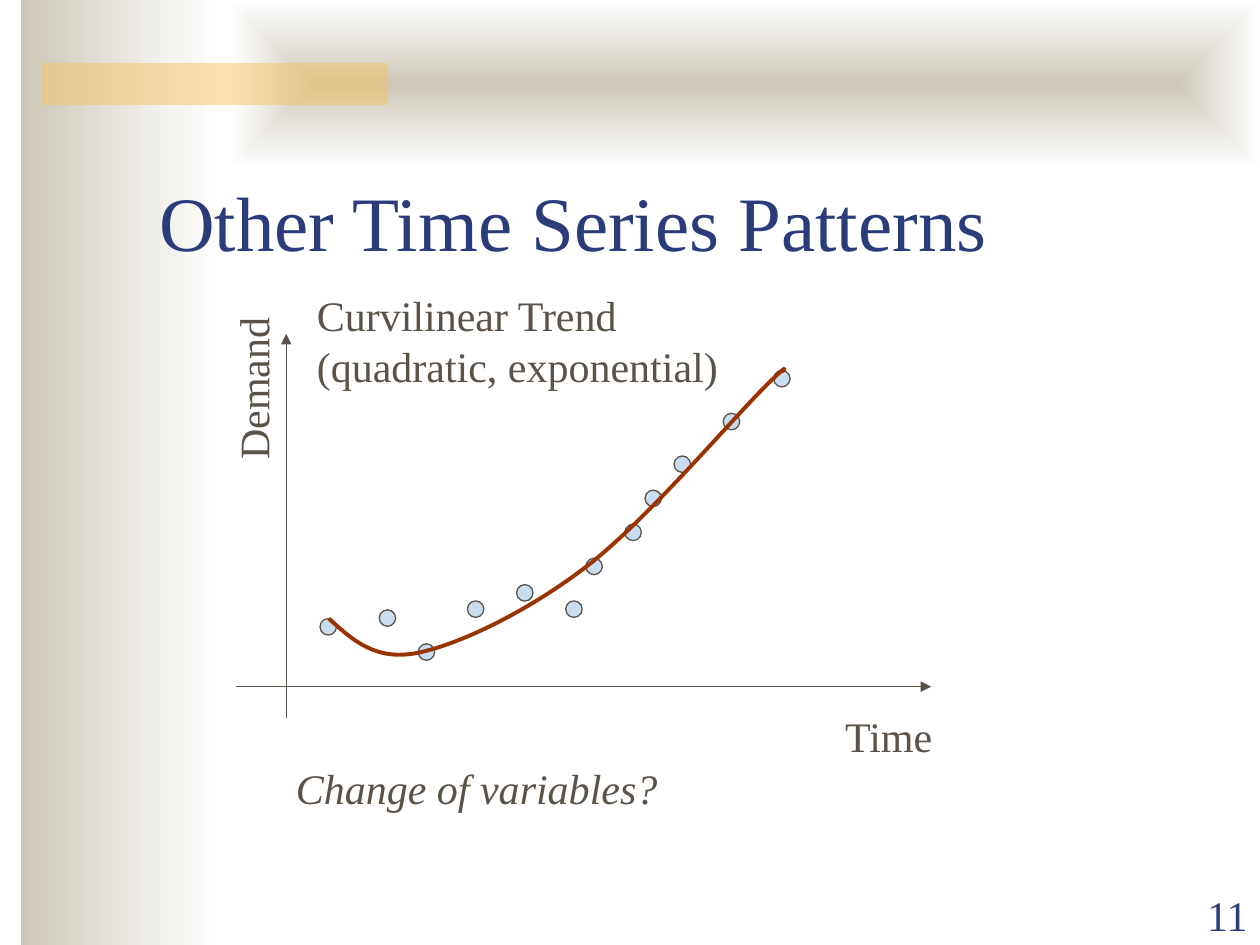
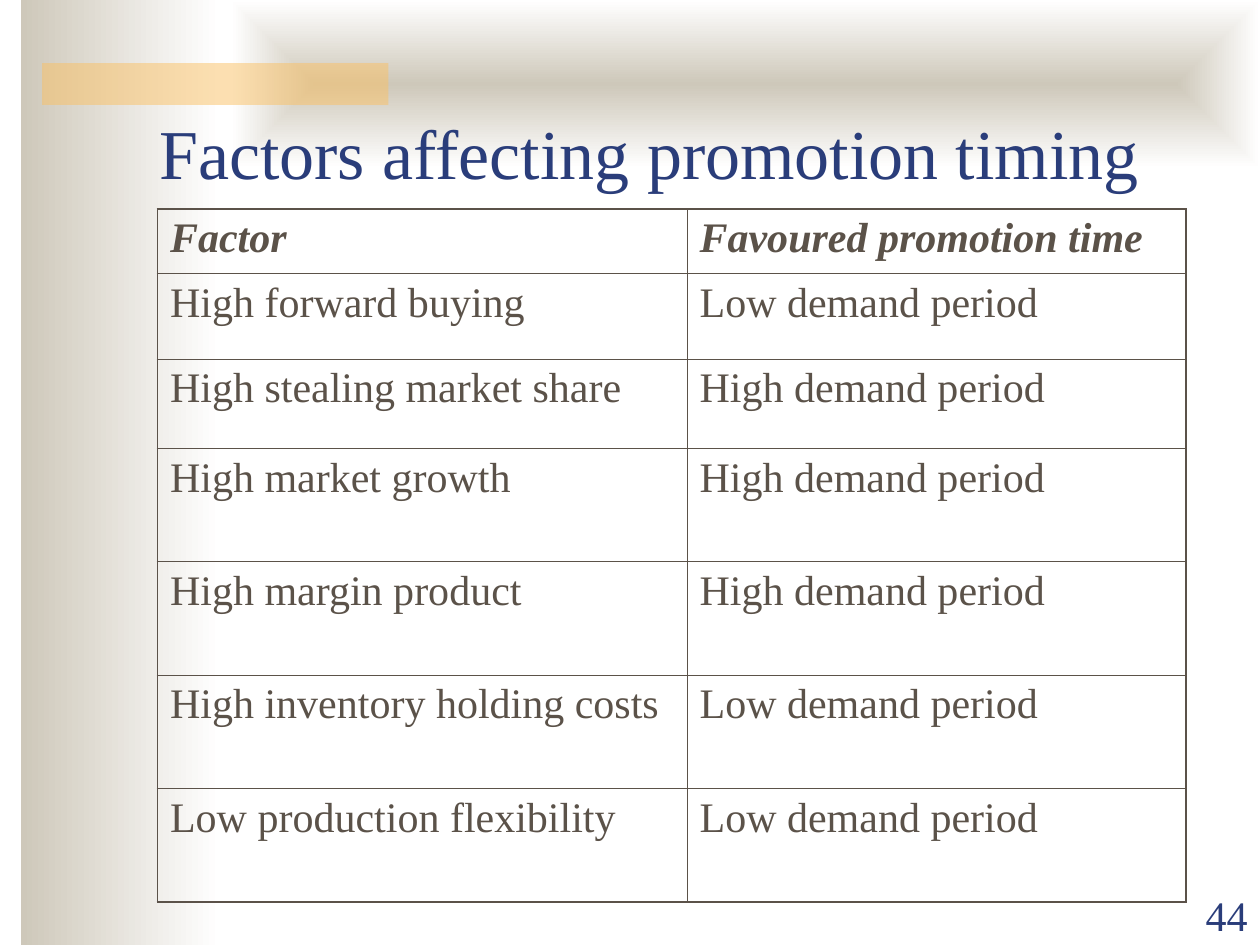
from lxml import etree
from pptx import Presentation
from pptx.dml.color import RGBColor
from pptx.enum.shapes import MSO_CONNECTOR, MSO_SHAPE
from pptx.enum.text import MSO_ANCHOR, PP_ALIGN
from pptx.oxml.ns import qn
from pptx.util import Pt

RECTANGLE, OVAL = MSO_SHAPE.RECTANGLE, MSO_SHAPE.OVAL
STRAIGHT = MSO_CONNECTOR.STRAIGHT
TOP, BOTTOM = MSO_ANCHOR.TOP, MSO_ANCHOR.BOTTOM
LEFT, RIGHT = PP_ALIGN.LEFT, PP_ALIGN.RIGHT

NAVY, BROWN, SAND, WHITE = "2A3D7A", "5B5249", "CEC8BA", "FFFFFF"
AMBER, PALE_BLUE, RUST = "FAC164", "C9DDF1", "993300"

BODY = {"name": "Times New Roman", "size": Pt(24), "color": BROWN}
ITALIC = {**BODY, "italic": True}
HEADER = {**ITALIC, "bold": True}
PAGE_NUMBER = {**BODY, "color": NAVY}
TITLE = {**PAGE_NUMBER, "size": Pt(44)}
LONG_TITLE = {**TITLE, "size": Pt(40)}


def color(hex_string):
    return RGBColor.from_string(hex_string)


def write_text(frame, text, format_values, alignment=LEFT):
    frame.text = text
    for paragraph in frame.paragraphs:
        paragraph.alignment = alignment
        for attribute, value in format_values.items():
            if attribute == "color":
                paragraph.font.color.rgb = color(value)
            else:
                setattr(paragraph.font, attribute, value)


presentation = Presentation()
presentation.slide_width, presentation.slide_height = Pt(720), Pt(540)
blank_layout = presentation.slide_layouts[6]
patterns_slide = presentation.slides.add_slide(blank_layout)
factors_slide = presentation.slides.add_slide(blank_layout)

# Shared decoration: side band, top banner and accent bar
for slide in presentation.slides:
    side_band, top_banner, accent_bar = [
        slide.shapes.add_shape(RECTANGLE, *map(Pt, box))
        for box in [(12, 0, 114, 540), (132, 0, 588, 96), (24, 36, 198, 24)]
    ]
    for shape in (side_band, top_banner, accent_bar):
        shape.shadow.inherit = False
        shape.line.fill.background()

    for shape in (side_band, top_banner):
        shape.fill.gradient()
        shape.fill.gradient_angle = 0
        for stop, stop_color in zip(shape.fill.gradient_stops, (SAND, WHITE)):
            stop.color.rgb = color(stop_color)

    # The banner fades from its centre to all four edges
    linear = top_banner.fill._xPr.find(".//" + qn("a:lin"))
    gradient_path = etree.Element(qn("a:path"), {"path": "rect"})
    etree.SubElement(gradient_path, qn("a:fillToRect"),
                     {side: "50000" for side in "ltrb"})
    linear.getparent().replace(linear, gradient_path)

    accent_bar.fill.solid()
    accent_bar.fill.fore_color.rgb = color(AMBER)
    bar_color = accent_bar.fill._xPr.find(".//" + qn("a:srgbClr"))
    etree.SubElement(bar_color, qn("a:alpha"), {"val": "50000"})

# Titles, page numbers and graph labels
page_number_box = (648, 504.7, 72, 36)
texts = [
    (patterns_slide, "Other Time Series Patterns", (84, 66, 612, 90), TITLE, BOTTOM, LEFT, True, 0),
    (factors_slide, "Factors affecting promotion timing", (84, 66, 606, 48), LONG_TITLE, BOTTOM, LEFT, True, 0),
    (patterns_slide, "11", page_number_box, PAGE_NUMBER, BOTTOM, RIGHT, True, 0),
    (factors_slide, "44", page_number_box, PAGE_NUMBER, BOTTOM, RIGHT, True, 0),
    (patterns_slide, "Time", (475.9, 402.5, 64.8, 36), BODY, TOP, LEFT, False, 0),
    (patterns_slide, "Demand", (96.5, 203.8, 95.8, 36), BODY, TOP, LEFT, False, 270),
    (patterns_slide, "Curvilinear Trend\n(quadratic, exponential)", (174, 162, 298, 64.8), BODY, TOP, LEFT, True, 0),
    (patterns_slide, "Change of variables?", (162, 432, 258, 36), ITALIC, TOP, LEFT, True, 0),
]
for slide, text, box, format_values, anchor, alignment, wrap, rotation in texts:
    shape = slide.shapes.add_textbox(*map(Pt, box))
    shape.rotation = rotation
    shape.text_frame.word_wrap = wrap
    shape.text_frame.vertical_anchor = anchor
    write_text(shape.text_frame, text, format_values, alignment)

# Axes of the demand graph, each drawn towards its arrowhead
for axis in [(163.6, 410.4, 163.6, 190.8), (134.6, 392.4, 532.1, 392.4)]:
    connector = patterns_slide.shapes.add_connector(STRAIGHT, *map(Pt, axis))
    connector.line.color.rgb = color(BROWN)
    connector.line.width = Pt(0.75)
    etree.SubElement(connector.line._get_or_add_ln(), qn("a:tailEnd"), {"type": "triangle"})
    etree.SubElement(connector._element.spPr, qn("a:effectLst"))

# Demand observations
observations = [
    (182.9, 353.5), (216.7, 348.5), (239, 367.9), (267.1, 343.4),
    (295.2, 334.1), (323.3, 343.4), (334.8, 319), (357.1, 299.5),
    (368.6, 280.1), (385.2, 260.6), (413.3, 236.2), (442.1, 211.7),
]
for left, top in observations:
    dot = patterns_slide.shapes.add_shape(OVAL, Pt(left), Pt(top), Pt(9.4), Pt(9.4))
    dot.shadow.inherit = False
    dot.fill.solid()
    dot.fill.fore_color.rgb = color(PALE_BLUE)
    dot.line.color.rgb = color(BROWN)
    dot.line.width = Pt(0.75)

# Trend curve: Bezier segments, each two control points and an end point
curve_start = (187.9, 353.5)
curve_segments = [
    [(201.6, 365.8), (214.6, 378), (239, 373)],
    [(263.5, 367.9), (301.7, 349.2), (334.8, 324)],
    [(367.9, 298.8), (417.6, 240.5), (436.3, 221.8)],
    [(455, 203), (445.7, 214.6), (447.1, 211.7)],
]
steps = 24
curve_points = []
segment_start = curve_start
for segment in curve_segments:
    for step in range(1, steps + 1):
        t = step / steps
        weights = ((1 - t) ** 3, 3 * t * (1 - t) ** 2, 3 * t ** 2 * (1 - t), t ** 3)
        curve_points.append(tuple(
            Pt(sum(weight * value for weight, value in zip(weights, values)))
            for values in zip(segment_start, *segment)
        ))
    segment_start = segment[-1]

builder = patterns_slide.shapes.build_freeform(*map(Pt, curve_start))
builder.add_line_segments(curve_points, close=False)
curve = builder.convert_to_shape()
curve.shadow.inherit = False
curve.fill.background()
curve.line.color.rgb = color(RUST)
curve.line.width = Pt(2.25)

# Promotion timing table
rows = [
    ("Factor", "Favoured promotion time"),
    ("High forward buying", "Low demand period"),
    ("High stealing market share", "High demand period"),
    ("High market growth", "High demand period"),
    ("High margin product", "High demand period"),
    ("High inventory holding costs", "Low demand period"),
    ("Low production flexibility", "Low demand period"),
]
row_heights = [36.7, 49, 51.1] + [64.8] * 4
column_widths = [302.6, 285.2]
table = factors_slide.shapes.add_table(
    len(rows), len(column_widths), Pt(90), Pt(119.5),
    Pt(sum(column_widths)), Pt(sum(row_heights))).table
table.first_row = table.horz_banding = False
for column, width in zip(table.columns, column_widths):
    column.width = Pt(width)

for row_index, (row, height) in enumerate(zip(rows, row_heights)):
    table.rows[row_index].height = Pt(height)
    for column_index, text in enumerate(row):
        cell = table.cell(row_index, column_index)
        write_text(cell.text_frame, text, BODY if row_index else HEADER)

        # Outer borders are heavier than inner ones
        outer_edges = {
            "lnL": column_index == 0,
            "lnR": column_index == len(row) - 1,
            "lnT": row_index == 0,
            "lnB": row_index == len(rows) - 1,
        }
        cell_properties = cell._tc.get_or_add_tcPr()
        for edge, is_outer in outer_edges.items():
            border = etree.SubElement(cell_properties, qn("a:" + edge),
                                      {"w": str(Pt(1.08 if is_outer else 0.45))})
            border_fill = etree.SubElement(border, qn("a:solidFill"))
            etree.SubElement(border_fill, qn("a:srgbClr"), {"val": BROWN})
        cell.fill.background()

presentation.save("out.pptx")
